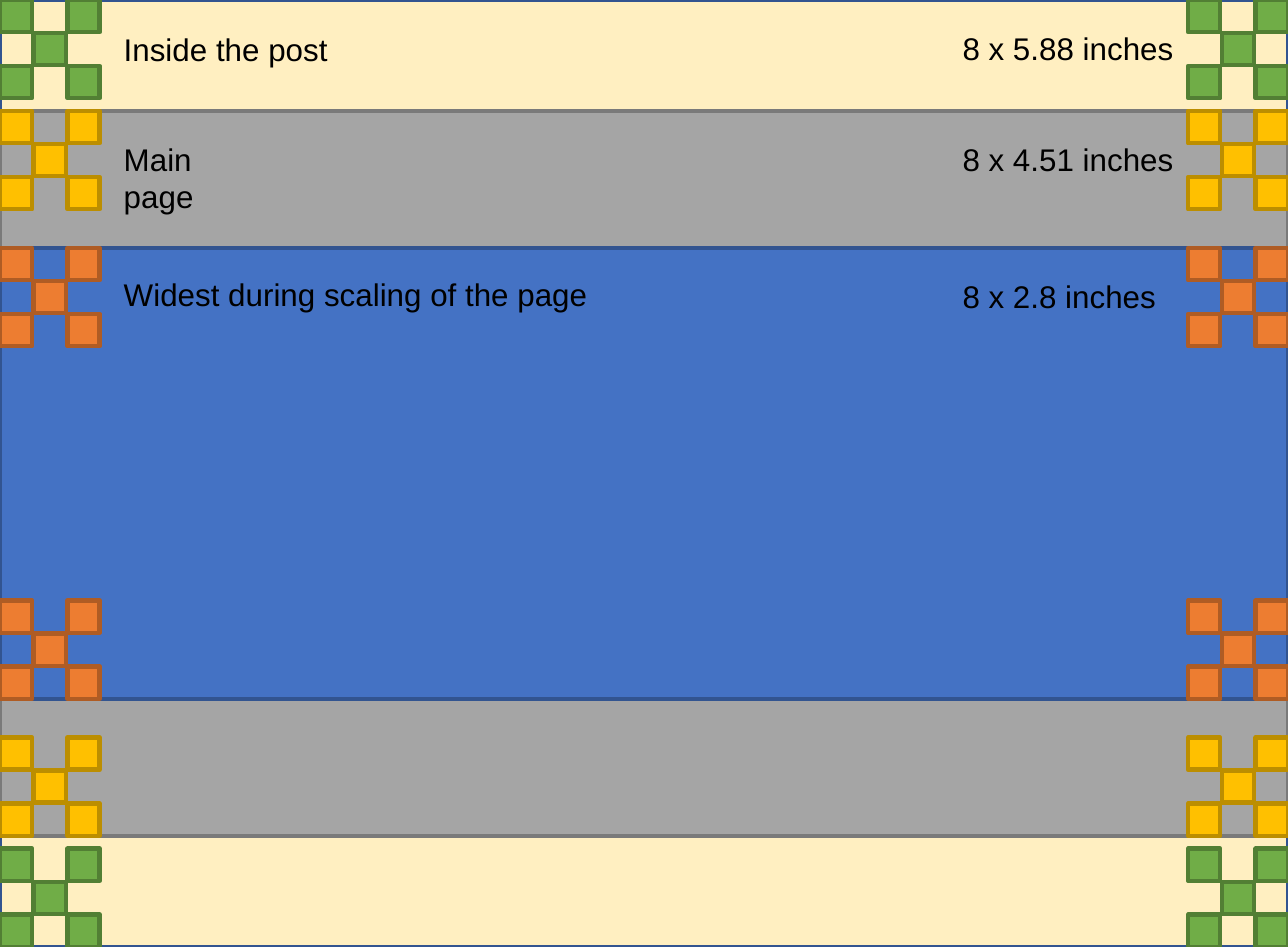
from lxml.etree import SubElement
from pptx import Presentation
from pptx.dml.color import RGBColor
from pptx.enum.shapes import MSO_SHAPE
from pptx.enum.text import MSO_AUTO_SIZE
from pptx.oxml.ns import qn
from pptx.util import Inches, Pt

WIDTH, HEIGHT = 8, 5.88
CELL = 0.2
MARK_W, MARK_H = 0.62, 0.61
# Cells of a corner mark as (column, row) on a 3 x 3 grid
MARK_CELLS = [(0, 2), (1, 1), (2, 2), (0, 0), (2, 0)]
LABEL_X, SIZE_X, TEXT_H = 0.67, 5.88, 0.33

GREEN = ("70AD47", "527F34")
YELLOW = ("FFC000", "BC8E00")
ORANGE = ("ED7D31", "AF5C24")


def rgb(color):
    return RGBColor.from_string(color)


def add_rect(shapes, x, y, w, h, fill, line, opacity=None):
    sp = shapes.add_shape(MSO_SHAPE.RECTANGLE, *map(Inches, (x, y, w, h)))
    sp.shadow.inherit = False
    sp.fill.solid()
    sp.fill.fore_color.rgb = rgb(fill)
    sp.line.color.rgb = rgb(line)
    sp.line.width = Pt(2)
    if opacity is not None:
        color = sp.fill._xPr.find(".//" + qn("a:srgbClr"))
        SubElement(color, qn("a:alpha"), val=str(opacity * 1000))


def add_text(s, text, x, y, w, size=14, font="Arial", color="000000", wrap=False):
    tf = s.shapes.add_textbox(*map(Inches, (x, y, w, TEXT_H))).text_frame
    tf.word_wrap = wrap
    tf.auto_size = MSO_AUTO_SIZE.SHAPE_TO_FIT_TEXT
    r = tf.paragraphs[0].add_run()
    r.text = text
    r.font.size = Pt(size)
    r.font.name = font
    r.font.color.rgb = rgb(color)


def add_mark(s, x, y, colors):
    """Group five cells into an X that fills the mark's box."""
    group = s.shapes.add_group_shape()
    dx, dy = (MARK_W - CELL) / 2, (MARK_H - CELL) / 2
    for col, row in MARK_CELLS:
        add_rect(group.shapes, x + col * dx, y + row * dy, CELL, CELL, *colors)


def add_band(s, top, height, fill, line, mark, label, size, opacity=None):
    """Draw a full-width area with a mark in each corner and two captions."""
    add_rect(s.shapes, 0, top, WIDTH, height, fill, line, opacity)
    for y in (top, top + height - MARK_H):
        for x in (0, WIDTH - MARK_W):
            add_mark(s, x, y, mark)
    for x, (text, dy, w, wrap) in ((LABEL_X, label), (SIZE_X, size)):
        add_text(s, text, x, top + dy, w, wrap=wrap)


def main():
    prs = Presentation()
    prs.slide_width, prs.slide_height = Inches(WIDTH), Inches(HEIGHT)
    s = prs.slides.add_slide(prs.slide_layouts[6])
    # Captions: text, offset from the band's top, width, wrap
    add_band(s, 0, HEIGHT, "FFD966", "325490", GREEN,
             ("Inside the post", 0.14, 1.47, False),
             ("8 x 5.88 inches", 0.13, 1.51, False), opacity=40)
    add_band(s, 0.69, 4.5, "A5A5A5", "7A7A7A", YELLOW,
             ("Main page", 0.13, 1.08, True),
             ("8 x 4.51 inches", 0.13, 1.51, False))
    add_band(s, 1.54, 2.8, "4472C4", "325490", ORANGE,
             ("Widest during scaling of the page", 0.12, 3.09, False),
             ("8 x 2.8 inches", 0.13, 1.41, False))
    prs.save("out.pptx")


if __name__ == "__main__":
    main()
